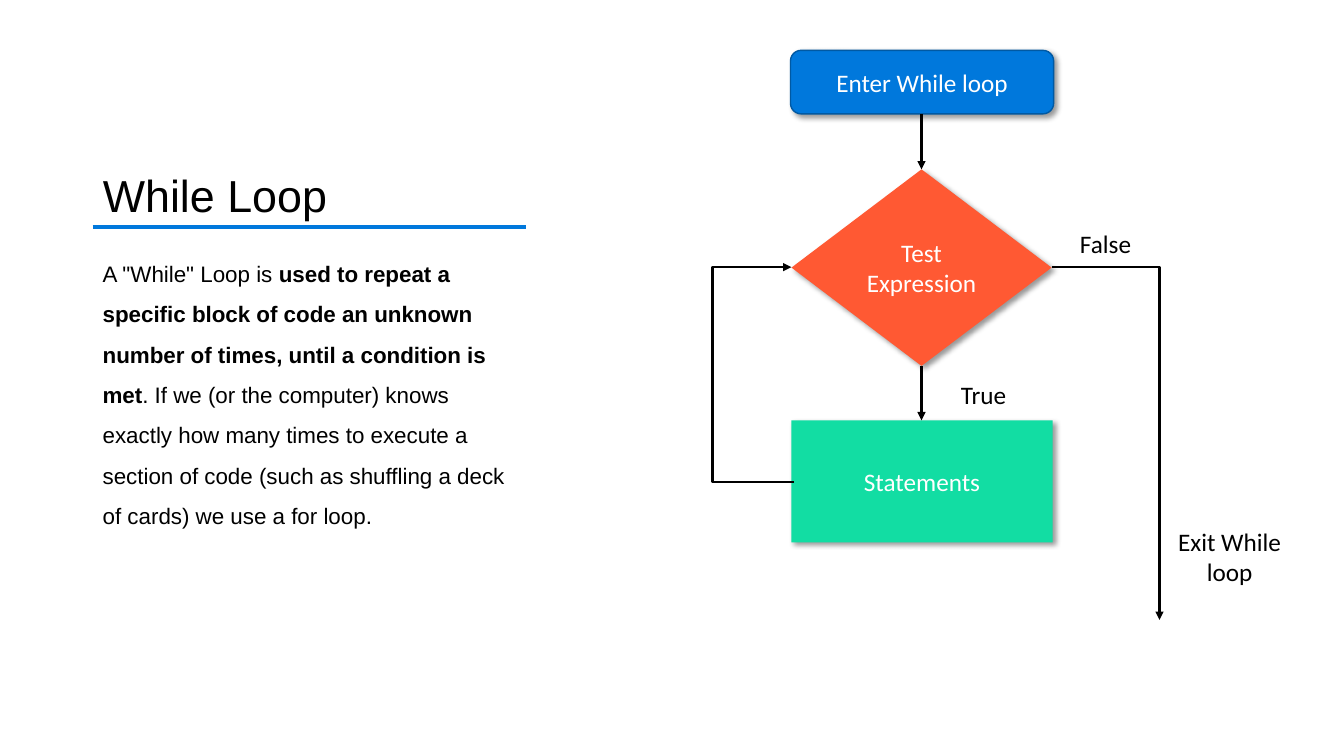
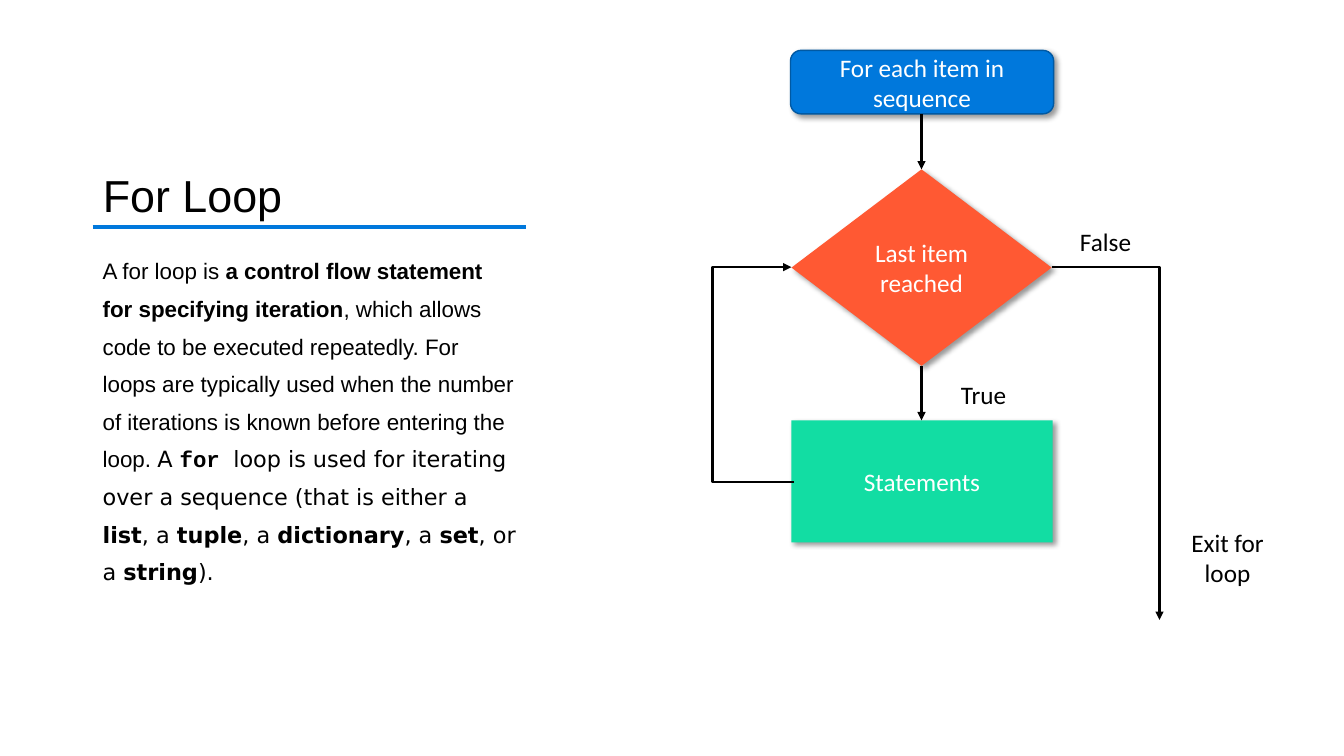
from dataclasses import dataclass
from typing import NamedTuple

from lxml import etree
from pptx import Presentation
from pptx.dml.color import RGBColor
from pptx.enum.shapes import MSO_CONNECTOR, MSO_SHAPE
from pptx.enum.text import MSO_ANCHOR, PP_ALIGN
from pptx.oxml.ns import qn
from pptx.util import Inches, Pt

BLACK = RGBColor(0x00, 0x00, 0x00)
WHITE = RGBColor(0xFF, 0xFF, 0xFF)
BLUE = RGBColor(0x00, 0x78, 0xDC)
NAVY = RGBColor(0x00, 0x59, 0xA3)
RED = RGBColor(0xFF, 0x59, 0x33)
GREEN = RGBColor(0x12, 0xDD, 0xA3)

STRAIGHT = MSO_CONNECTOR.STRAIGHT
ELBOW = MSO_CONNECTOR.ELBOW
ROUND = MSO_SHAPE.FLOWCHART_ALTERNATE_PROCESS
DIAMOND = MSO_SHAPE.FLOWCHART_DECISION
RECT = MSO_SHAPE.RECTANGLE
LEFT = PP_ALIGN.LEFT
CENTER = PP_ALIGN.CENTER
TOP = MSO_ANCHOR.TOP
MIDDLE = MSO_ANCHOR.MIDDLE
BOTTOM = MSO_ANCHOR.BOTTOM

SANS = "Arial"
LABEL = "Calibri"
CODE = "Courier New"
WIDE = "DejaVu Sans"

TEXT_X, TEXT_W = 0.92, 4.3
RULE_Y = 2.25
MID_X = 9.14
TEST_Y = 2.65
LOOP_X = 7.07
EXIT_X, EXIT_Y = 11.5, 6.15


class Box(NamedTuple):
    x: float
    y: float
    w: float
    h: float

    def place(self) -> list:
        return [Inches(n) for n in self]


class Run(NamedTuple):
    text: str
    bold: bool = False
    font: str = SANS


class Node(NamedTuple):
    kind: int
    box: Box
    fill: RGBColor
    edge: RGBColor | None = None


@dataclass
class Chart:
    title: str
    runs: list[Run]
    pitch: float
    start: str
    test: str
    leave: str
    false_y: float
    leave_box: Box


START = Node(ROUND, Box(7.84, 0.5, 2.61, 0.63), BLUE, NAVY)
TEST = Node(DIAMOND, Box(7.85, 1.68, 2.58, 1.95), RED)
STEP = Node(RECT, Box(7.85, 4.17, 2.59, 1.21), GREEN)

CHARTS = [
    Chart(
        "While Loop",
        [
            Run('A "While" Loop is '),
            Run("used to repeat a specific block of code an unknown number of "
                "times, until a condition is met", True),
            Run(". If we (or the computer) knows exactly how many times to "
                "execute a section of code (such as shuffling a deck of cards) "
                "we use a for loop."),
        ],
        1.5, "Enter While loop", "Test Expression", "Exit While loop",
        2.22, Box(11.52, 5.17, 1.35, 0.71),
    ),
    Chart(
        "For Loop",
        [
            Run("A for loop is "),
            Run("a control flow statement for specifying iteration", True),
            Run(", which allows code to be executed repeatedly. For loops are "
                "typically used when the number of iterations is known before "
                "entering the loop. "),
            Run("A ", font=WIDE),
            Run("for ", True, CODE),
            Run("loop is used for iterating over a sequence (that is either a ",
                font=WIDE),
            Run("list", True, WIDE),
            Run(", a ", font=WIDE),
            Run("tuple", True, WIDE),
            Run(", a ", font=WIDE),
            Run("dictionary", True, WIDE),
            Run(", a ", font=WIDE),
            Run("set", True, WIDE),
            Run(", or a ", font=WIDE),
            Run("string", True, WIDE),
            Run(").", font=WIDE),
        ],
        1.4, "For each item in sequence", "Last item reached", "Exit for loop",
        2.2, Box(11.5, 5.18, 1.35, 0.71),
    ),
]


def write(shape, runs: list[Run], size: int, ink: RGBColor, align, anchor,
          pitch: float = 1.0) -> None:
    frame = shape.text_frame
    frame.word_wrap = True
    frame.vertical_anchor = anchor
    para = frame.paragraphs[0]
    para.alignment = align
    para.line_spacing = pitch
    para.space_before = Pt(0)
    base = runs[0].font
    para.font.name = base
    para.font.size = Pt(size)
    para.font.color.rgb = ink
    for item in runs:
        run = para.add_run()
        run.text = item.text
        if item.bold:
            run.font.bold = True
        if item.font != base:
            run.font.name = item.font


def add_label(slide, box: Box, text: str) -> None:
    label = slide.shapes.add_textbox(*box.place())
    write(label, [Run(text, font=LABEL)], 18, BLACK, CENTER, TOP)


def add_node(slide, node: Node, text: str) -> None:
    shape = slide.shapes.add_shape(node.kind, *node.box.place())
    shape.fill.solid()
    shape.fill.fore_color.rgb = node.fill
    if node.edge is None:
        shape.line.fill.background()
    else:
        shape.line.color.rgb = node.edge
        shape.line.width = Pt(1)
    shape.shadow.inherit = False
    effects = shape.element.spPr.find(qn("a:effectLst"))
    shade = etree.SubElement(effects, qn("a:outerShdw"), blurRad=str(Pt(4)),
                             dist=str(Pt(3)), dir="2700000", algn="tl",
                             rotWithShape="0")
    ink = etree.SubElement(shade, qn("a:srgbClr"), val=str(BLACK))
    etree.SubElement(ink, qn("a:alpha"), val="40000")
    write(shape, [Run(text, font=LABEL)], 18, WHITE, CENTER, MIDDLE)


def add_line(slide, x1: float, y1: float, x2: float, y2: float,
             ink: RGBColor = BLACK, width: float = 1.5, kind=STRAIGHT,
             arrow: bool = True):
    line = slide.shapes.add_connector(
        kind, Inches(x1), Inches(y1), Inches(x2), Inches(y2))
    line.line.color.rgb = ink
    line.line.width = Pt(width)
    props = line.element.spPr
    if arrow:
        etree.SubElement(props.find(qn("a:ln")), qn("a:tailEnd"),
                         type="triangle")
    etree.SubElement(props, qn("a:effectLst"))
    return line


def add_loop(slide) -> None:
    side, width = STEP.box.x, 0.02
    line = add_line(slide, side, TEST_Y, side + width, 4.78, kind=ELBOW)
    props = line.element.spPr
    props.find(qn("a:xfrm")).set("rot", "10800000")
    shape = props.find(qn("a:prstGeom"))
    guides = shape.find(qn("a:avLst"))
    if guides is None:
        guides = etree.SubElement(shape, qn("a:avLst"))
    bend = round((side + width - LOOP_X) / width * 100000)
    etree.SubElement(guides, qn("a:gd"), name="adj1", fmla=f"val {bend}")


def add_exit(slide) -> None:
    line = add_line(slide, TEST.box.x + TEST.box.w, TEST_Y, EXIT_X, EXIT_Y,
                    kind=ELBOW)
    line.element.spPr.find(qn("a:prstGeom")).set("prst", "bentConnector2")


def add_text(slide, chart: Chart) -> None:
    add_line(slide, TEXT_X, RULE_Y, TEXT_X + TEXT_W, RULE_Y, BLUE, 3,
             arrow=False)
    title = slide.shapes.title
    title.left, title.top, title.width, title.height = Box(
        TEXT_X, 0.5, TEXT_W, RULE_Y - 0.5).place()
    write(title, [Run(chart.title)], 32, BLACK, LEFT, BOTTOM, 0.9)
    body = slide.shapes.add_textbox(*Box(TEXT_X, 2.4, TEXT_W, 4.02).place())
    write(body, chart.runs, 16, BLACK, LEFT, TOP, chart.pitch)


def add_flow(slide, chart: Chart) -> None:
    add_node(slide, TEST, chart.test)
    add_node(slide, STEP, "Statements")
    add_node(slide, START, chart.start)
    for above, below in ((START, TEST), (TEST, STEP)):
        add_line(slide, MID_X, above.box.y + above.box.h, MID_X, below.box.y)
    add_loop(slide)
    add_exit(slide)
    add_label(slide, Box(9.08, 3.71, 1.35, 0.4), "True")
    add_label(slide, Box(10.29, chart.false_y, 1.35, 0.4), "False")
    add_label(slide, chart.leave_box, chart.leave)


def main() -> None:
    deck = Presentation()
    deck.slide_width = Inches(13.33)
    deck.slide_height = Inches(7.5)
    for chart in CHARTS:
        slide = deck.slides.add_slide(deck.slide_layouts[5])
        add_text(slide, chart)
        add_flow(slide, chart)
    deck.save("out.pptx")


if __name__ == "__main__":
    main()
